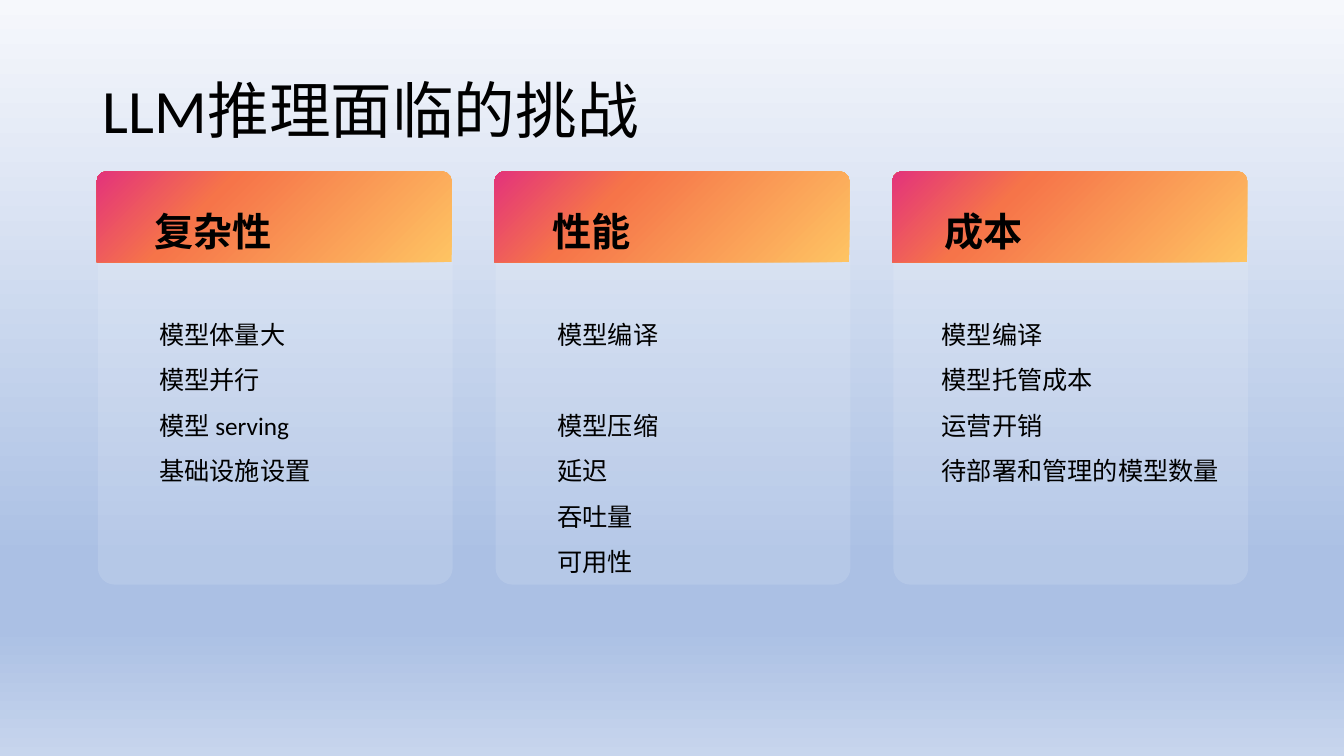
from lxml.etree import SubElement
from pptx import Presentation
from pptx.dml.color import RGBColor
from pptx.enum.shapes import MSO_SHAPE
from pptx.enum.text import MSO_ANCHOR, MSO_AUTO_SIZE, PP_ALIGN
from pptx.oxml.ns import qn
from pptx.util import Inches, Pt

BLACK = RGBColor(0x00, 0x00, 0x00)
WHITE = RGBColor(0xFF, 0xFF, 0xFF)
SKY = [(0, RGBColor(0xF6, 0xF8, 0xFC)), (74, RGBColor(0xAB, 0xC0, 0xE4)),
       (83, RGBColor(0xAB, 0xC0, 0xE4)), (100, RGBColor(0xC7, 0xD5, 0xED))]
SUNSET = [(0, RGBColor(0xFE, 0xC4, 0x63)), (68, RGBColor(0xF6, 0x74, 0x49)),
          (100, RGBColor(0xE3, 0x33, 0x7B))]
LATIN = "Calibri"
CJK = "Noto Sans CJK SC"
CARD_LEFT, CARD_STEP, CARD_WIDTH = 0.97, 3.945, 3.52

# heading, heading left and width, list left, width and height, gap after first item, items
CARDS = [
    ("复杂性", (1.43, 1.71), (1.58, 3.2, 1.87), 0,
     [[("模型体量大", CJK)], [("模型并行", CJK)],
      [("模型 ", CJK), ("serving", LATIN)], [("基础设施设置", CJK)]]),
    ("性能", (5.38, 1.3), (5.53, 1.18, 2.33), 32.5,
     [[("模型编译", CJK)], [("模型压缩", CJK)], [("延迟", CJK)],
      [("吞吐量", CJK)], [("可用性", CJK)]]),
    ("成本", (9.27, 1.64), (9.34, 2.84, 1.87), 0,
     [[("模型编译", CJK)], [("模型托管成本", CJK)], [("运营开销", CJK)],
      [("待部署和管理的模型数量", CJK)]]),
]


def set_gradient(fill, element, stops, angle):
    """Fill with a linear gradient of (percent, colour) stops, angle clockwise."""
    fill.gradient()
    fill.gradient_angle = 360 - angle
    gs_list = element.xpath(".//a:gradFill/a:gsLst")[0]
    for gs in list(gs_list):
        gs_list.remove(gs)
    for percent, color in stops:
        gs = SubElement(gs_list, qn("a:gs"), pos=str(percent * 1000))
        SubElement(gs, qn("a:srgbClr"), val=str(color))


def add_run(p, text, size, font, bold=False):
    """Add a black run with its Latin and East Asian fonts."""
    r = p.add_run()
    r.text = text
    r.font.size = Pt(size)
    r.font.bold = bold
    r.font.name = font
    r.font.color.rgb = BLACK
    SubElement(r.font._element, qn("a:ea"), typeface=CJK)


def add_title(slide, text):
    """Place and format the title placeholder."""
    sp = slide.shapes.title
    sp.left, sp.top = Inches(0.92), Inches(0.4)
    sp.width, sp.height = Inches(11.5), Inches(1.45)
    tf = sp.text_frame
    tf.vertical_anchor = MSO_ANCHOR.MIDDLE
    p = tf.paragraphs[0]
    p.alignment = PP_ALIGN.LEFT
    p.line_spacing = 0.9
    add_run(p, text, 44, LATIN)


def add_plain_shape(shapes, kind, left, top, height, adjustment):
    """Add a card part without line or shadow."""
    sp = shapes.add_shape(kind, Inches(left), Inches(top),
                          Inches(CARD_WIDTH), Inches(height))
    sp.adjustments[0] = adjustment
    sp.shadow.inherit = False
    sp.line.fill.background()
    return sp


def add_card(slide, left):
    """Add a translucent panel with a gradient header, as a group."""
    shapes = slide.shapes.add_group_shape().shapes
    panel = add_plain_shape(shapes, MSO_SHAPE.ROUNDED_RECTANGLE,
                            left, 1.69, 4.11, 0.048)
    panel.fill.solid()
    panel.fill.fore_color.rgb = WHITE
    color = panel._element.spPr.xpath("./a:solidFill/a:srgbClr")[0]
    SubElement(color, qn("a:alpha"), val="13000")
    header = add_plain_shape(shapes, MSO_SHAPE.ROUND_2_SAME_RECTANGLE,
                             left - 0.01, 1.7, 0.9, 0.107)
    set_gradient(header.fill, header._element.spPr, SUNSET, 225)


def add_text(slide, box, lines, size, bold=False, inset=0.1, first_gap=0):
    """Add a text box whose lines are lists of (text, font) runs."""
    tf = slide.shapes.add_textbox(*map(Inches, box)).text_frame
    tf.word_wrap = True
    tf.auto_size = MSO_AUTO_SIZE.SHAPE_TO_FIT_TEXT
    tf.margin_left = tf.margin_right = Inches(inset)
    for i, runs in enumerate(lines):
        p = tf.add_paragraph() if i else tf.paragraphs[0]
        p.line_spacing = 1.5
        if i == 0 and first_gap:
            p.space_after = Pt(first_gap)
        for text, font in runs:
            add_run(p, text, size, font, bold)


def main():
    """Build and save the slide."""
    prs = Presentation()
    prs.slide_width, prs.slide_height = Inches(13.33), Inches(7.5)
    slide = prs.slides.add_slide(prs.slide_layouts[5])
    set_gradient(slide.background.fill, slide._element, SKY, 90)
    add_title(slide, "LLM推理面临的挑战")
    for i, (heading, head_box, list_box, gap, items) in enumerate(CARDS):
        add_card(slide, CARD_LEFT + i * CARD_STEP)
        left, width = head_box
        add_text(slide, (left, 1.77, width, 0.73), [[(heading, CJK)]], 28, bold=True)
        left, width, height = list_box
        add_text(slide, (left, 2.97, width, height), items, 18,
                 inset=0, first_gap=gap)
    prs.save("out.pptx")


if __name__ == "__main__":
    main()
